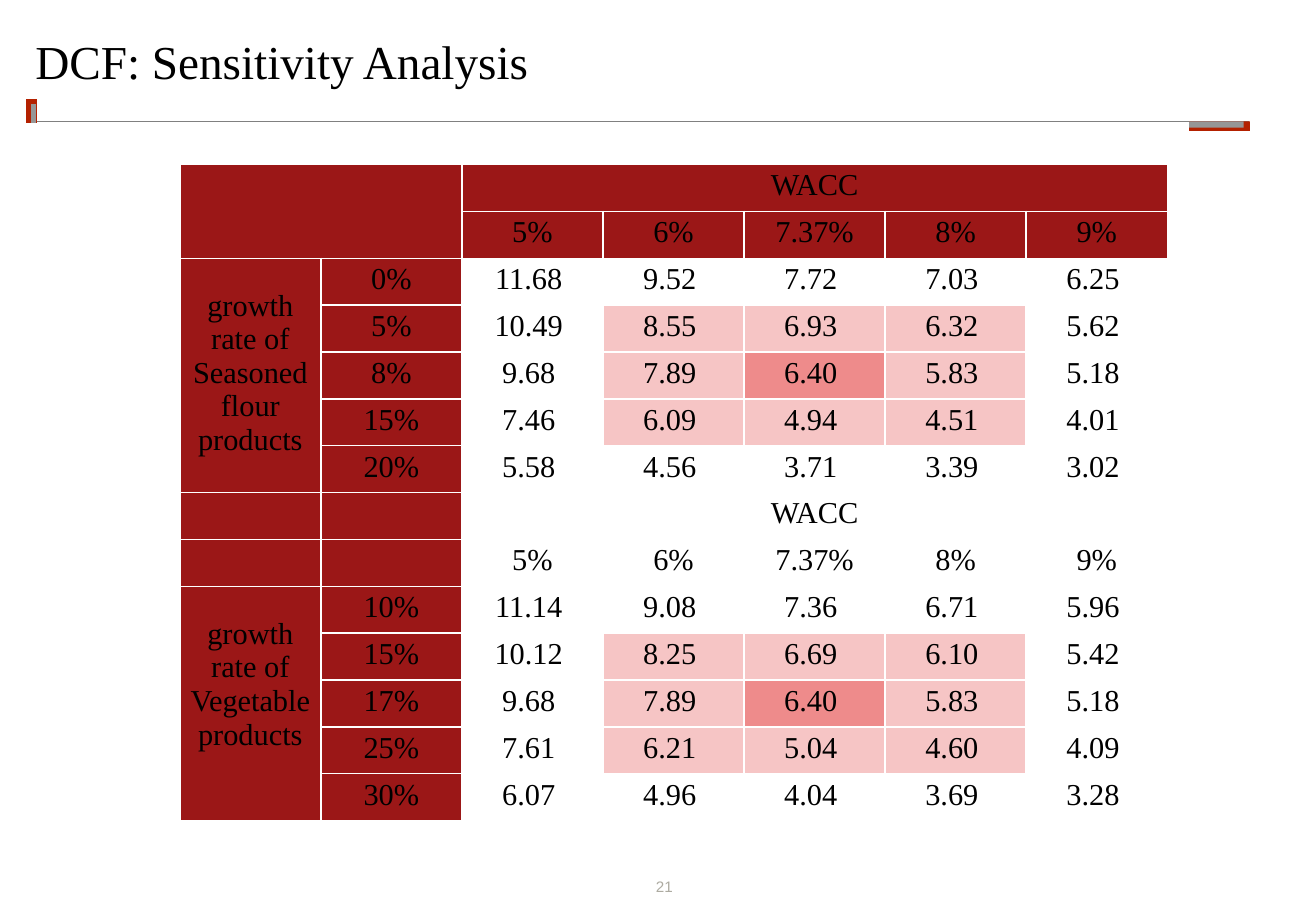
from dataclasses import dataclass

import lxml.etree
import pptx
import pptx.dml.color
import pptx.enum.shapes
import pptx.enum.text
import pptx.oxml.ns
import pptx.util

Cm, Pt = pptx.util.Cm, pptx.util.Pt
ALIGN, ANCHOR = pptx.enum.text.PP_ALIGN, pptx.enum.text.MSO_ANCHOR
qn = pptx.oxml.ns.qn

COLORS = {
    "text": "000000", "page": "ADABA1", "rule": "808080", "gray": "969696", "red": "B42100",
    "header": "9B1717", "near": "F6C5C5", "base": "EE8B8B", "border": "FFFFFF",
}
SERIF = "Times New Roman"
COLUMN_WIDTH, ROW_HEIGHT = 2.95, 0.98
BLOCK_ROWS = 7
WACC = ["5%", "6%", "7.37%", "8%", "9%"]


@dataclass
class Rule:
    start: tuple[float, float]
    end: tuple[float, float]
    color: str
    weight: float


@dataclass
class Bar:
    width: float
    height: float
    color: str


@dataclass
class Sensitivity:
    driver: str
    rates: list[str]
    values: list[list[float]]
    header_fill: str | None
    driver_bottom: float = 0.13


RULES = [
    Rule((0.76, 2.54), (26.11, 2.54), "rule", 1),
    Rule((0.66, 2.57), (0.66, 2.06), "red", 6),
    Rule((0.71, 2.57), (0.71, 2.18), "gray", 3),
]
BARS = [Bar(1.27, 0.2, "red"), Bar(1.14, 0.13, "gray")]
BLOCKS = [
    Sensitivity(
        "growth rate of Seasoned flour products",
        ["0%", "5%", "8%", "15%", "20%"],
        [[11.68, 9.52, 7.72, 7.03, 6.25],
         [10.49, 8.55, 6.93, 6.32, 5.62],
         [9.68, 7.89, 6.40, 5.83, 5.18],
         [7.46, 6.09, 4.94, 4.51, 4.01],
         [5.58, 4.56, 3.71, 3.39, 3.02]],
        "header"),
    Sensitivity(
        "growth rate of Vegetable products",
        ["10%", "15%", "17%", "25%", "30%"],
        [[11.14, 9.08, 7.36, 6.71, 5.96],
         [10.12, 8.25, 6.69, 6.10, 5.42],
         [9.68, 7.89, 6.40, 5.83, 5.18],
         [7.61, 6.21, 5.04, 4.60, 4.09],
         [6.07, 4.96, 4.04, 3.69, 3.28]],
        None, driver_bottom=0.83),
]


def rgb(color: str) -> pptx.dml.color.RGBColor:
    return pptx.dml.color.RGBColor.from_string(COLORS[color])


def set_font(paragraph, name: str, size: float, color: str) -> None:
    paragraph.font.name = name
    paragraph.font.size = Pt(size)
    paragraph.font.color.rgb = rgb(color)


def add_text(slide, box: tuple[float, float, float, float], text: str, anchor, wrap: bool):
    """Add a one-paragraph text box without insets and return its paragraph."""
    frame = slide.shapes.add_textbox(*map(Cm, box)).text_frame
    frame.margin_left = frame.margin_right = frame.margin_top = frame.margin_bottom = 0
    frame.word_wrap = wrap
    frame.vertical_anchor = anchor
    paragraph = frame.paragraphs[0]
    paragraph.text = text
    return paragraph


def add_rule(slide, rule: Rule) -> None:
    line = slide.shapes.add_connector(
        pptx.enum.shapes.MSO_CONNECTOR.STRAIGHT, *map(Cm, rule.start + rule.end))
    line.line.color.rgb = rgb(rule.color)
    line.line.width = Pt(rule.weight)
    lxml.etree.SubElement(line._element.spPr, qn("a:effectLst"))


def add_bar(slide, bar: Bar) -> None:
    shape = slide.shapes.add_shape(
        pptx.enum.shapes.MSO_SHAPE.RECTANGLE, Cm(24.87), Cm(2.54), Cm(bar.width), Cm(bar.height))
    shape.shadow.inherit = False
    shape.fill.solid()
    shape.fill.fore_color.rgb = rgb(bar.color)
    shape.line.fill.background()


def style_cell(cell, fill: str | None = None) -> None:
    """Set the insets, the white borders and the fill of a cell."""
    cell.vertical_anchor = ANCHOR.MIDDLE
    cell.margin_left = cell.margin_right = cell.margin_top = Cm(0.03)
    cell.margin_bottom = Cm(0.13)
    properties = cell._tc.get_or_add_tcPr()
    for side in ("a:lnL", "a:lnR", "a:lnT", "a:lnB"):
        border = lxml.etree.SubElement(properties, qn(side), w=str(Pt(1)))
        solid = lxml.etree.SubElement(border, qn("a:solidFill"))
        lxml.etree.SubElement(solid, qn("a:srgbClr"), val=COLORS["border"])
    fill_cell(cell, fill)


def fill_cell(cell, fill: str | None) -> None:
    if fill:
        cell.fill.solid()
        cell.fill.fore_color.rgb = rgb(fill)
    else:
        cell.fill.background()


def write_cell(cell, text: str, fill: str | None) -> None:
    fill_cell(cell, fill)
    paragraph = cell.text_frame.paragraphs[0]
    paragraph.text = text
    paragraph.alignment = ALIGN.CENTER
    set_font(paragraph, SERIF, 18, "text")


def value_fill(row: int, column: int) -> str | None:
    """Shade by distance from the base case in the middle of the grid."""
    return {0: "base", 1: "near"}.get(max(abs(row - 2), abs(column - 2)))


def write_block(table, top: int, block: Sensitivity) -> None:
    for row in range(top, top + BLOCK_ROWS):
        for column in range(2):
            fill_cell(table.cell(row, column), "header")
    table.cell(top, 2).merge(table.cell(top, 6))
    write_cell(table.cell(top, 2), "WACC", block.header_fill)
    for column, rate in enumerate(WACC):
        write_cell(table.cell(top + 1, column + 2), rate, block.header_fill)

    driver = table.cell(top + 2, 0)
    driver.merge(table.cell(top + 6, 0))
    write_cell(driver, block.driver, "header")
    driver.margin_bottom = Cm(block.driver_bottom)
    for row, (rate, values) in enumerate(zip(block.rates, block.values)):
        write_cell(table.cell(top + 2 + row, 1), rate, "header")
        for column, value in enumerate(values):
            write_cell(table.cell(top + 2 + row, column + 2), f"{value:.2f} ",
                       value_fill(row, column))


def add_sensitivity_table(slide) -> None:
    rows, columns = BLOCK_ROWS * len(BLOCKS), len(WACC) + 2
    table = slide.shapes.add_table(
        rows, columns, Cm(3.76), Cm(3.44),
        Cm(COLUMN_WIDTH * columns), Cm(ROW_HEIGHT * rows)).table
    table.first_row = table.horz_banding = False
    for column in table.columns:
        column.width = Cm(COLUMN_WIDTH)
    for row in table.rows:
        row.height = Cm(ROW_HEIGHT)
    for cell in table.iter_cells():
        style_cell(cell)
    for index, block in enumerate(BLOCKS):
        write_block(table, index * BLOCK_ROWS, block)
    table.cell(0, 0).merge(table.cell(1, 1))


def main() -> None:
    deck = pptx.Presentation()
    deck.slide_width, deck.slide_height = Cm(27.52), Cm(19.05)
    slide = deck.slides.add_slide(deck.slide_layouts[6])

    page_number = add_text(slide, (13.26, 18.36, 0.81, 0.36), "21", ANCHOR.MIDDLE, False)
    page_number.alignment = ALIGN.RIGHT
    set_font(page_number, "Arial", 9, "page")
    for rule in RULES:
        add_rule(slide, rule)
    for bar in BARS:
        add_bar(slide, bar)
    title = add_text(slide, (0.74, 0.81, 26.04, 1.7), "DCF: Sensitivity Analysis",
                     ANCHOR.TOP, True)
    title.line_spacing = 0.9
    set_font(title, SERIF, 28, "text")
    add_sensitivity_table(slide)
    deck.save("out.pptx")


if __name__ == "__main__":
    main()
